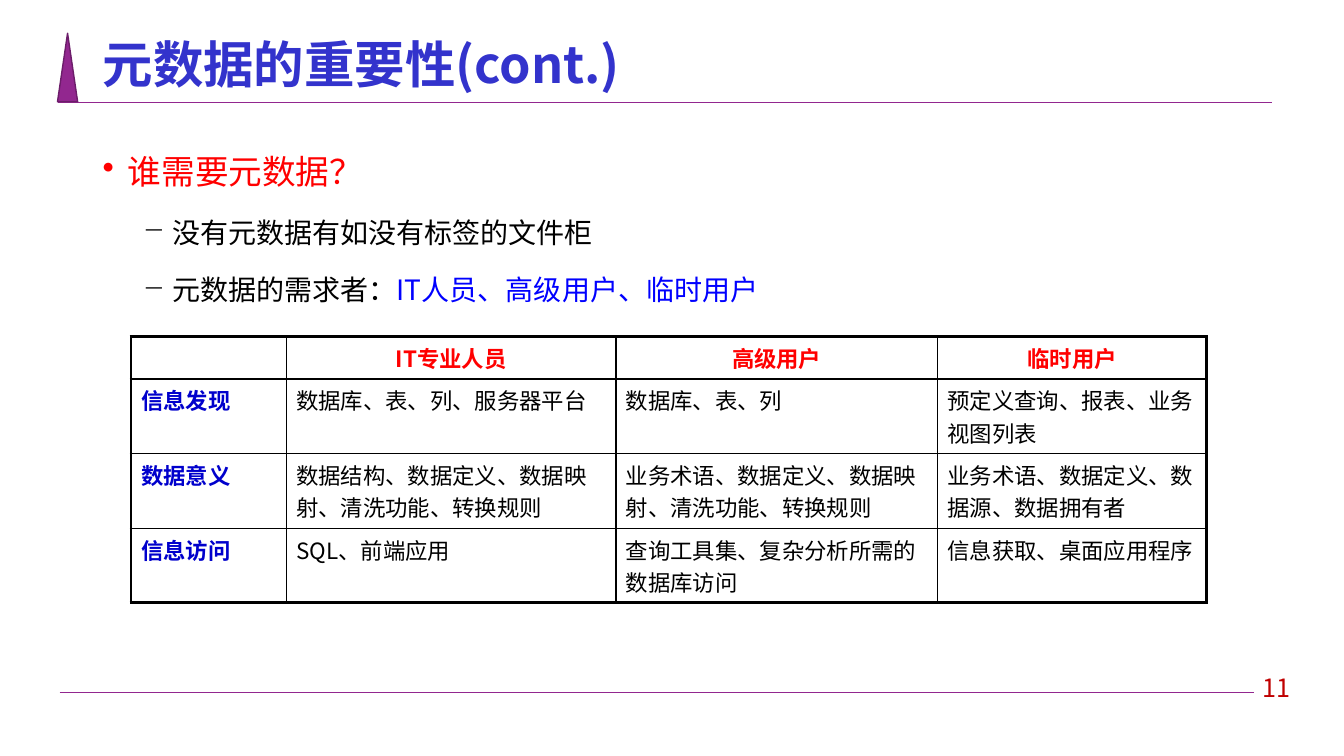
from lxml import etree
from pptx import Presentation
from pptx import util as u
from pptx.dml.color import RGBColor
from pptx.enum import shapes, text
from pptx.oxml import ns

FONT = "Noto Sans CJK SC"
PURPLE, BLACK, RED = "92278F", "000000", "FF0000"


def tint(fill, color):
    fill.solid()
    fill.fore_color.rgb = RGBColor.from_string(color)


def write(para, words, size, color, bold=False):
    if words:
        para.add_run().text = words
    font = para.font
    font.name, font.size, font.bold = FONT, u.Pt(size), bold
    tint(font.fill, color)
    etree.SubElement(font._element, ns.qn("a:ea"), typeface=FONT)


deck = Presentation()
deck.slide_width, deck.slide_height = u.Inches(13.33), u.Inches(7.5)
col, row = deck.slide_width / 100, deck.slide_height / 100
page = deck.slides.add_slide(deck.slide_layouts[6])

for left, right, level in [(4.35, 94.67, 13.6), (4.43, 93.32, 91.6)]:
    rule = page.shapes.add_connector(
        shapes.MSO_CONNECTOR.STRAIGHT,
        int(left * col), int(level * row), int(right * col), int(level * row))
    rule.line.width = u.Pt(0.5)
    tint(rule.line.fill, PURPLE)
    etree.SubElement(rule._element.spPr, ns.qn("a:effectLst"))

spike = page.shapes.add_shape(
    shapes.MSO_SHAPE.ISOSCELES_TRIANGLE,
    int(4.28 * col), int(4.4 * row), int(1.5 * col), int(9.07 * row))
spike.shadow.inherit = False
tint(spike.fill, PURPLE)
tint(spike.line.fill, "6C1D6A")
spike.line.width = u.Pt(1)

frames = []
for left, top, width, height, anchor in [
    (6.9, 3.6, 86.27, 10.53, text.MSO_ANCHOR.MIDDLE),
    (93.02, 88.4, 3.98, 5.07, text.MSO_ANCHOR.MIDDLE),
    (6.9, 16.67, 86.27, 73.33, text.MSO_ANCHOR.TOP),
]:
    box = page.shapes.add_textbox(
        int(left * col), int(top * row), int(width * col), int(height * row))
    box.text_frame.word_wrap = True
    box.text_frame.vertical_anchor = anchor
    frames.append(box.text_frame)
title, number, body = frames

heading = title.paragraphs[0]
heading.line_spacing = 0.9
write(heading, "元数据的重要性(cont.)", 36, "3333CC", True)
number.paragraphs[0].alignment = text.PP_ALIGN.CENTER
write(number.paragraphs[0], "11", 18, "C00000")

points = [
    (0, "谁需要元数据？", 24, RED),
    (1, "没有元数据有如没有标签的文件柜", 20, BLACK),
    (1, "元数据的需求者：", 20, BLACK),
]
for index, (level, words, size, color) in enumerate(points):
    para = body.add_paragraph() if index else body.paragraphs[0]
    para.level = level
    para.line_spacing = 1.5
    para.space_before = u.Pt((10, 5)[level])
    props = para._element.get_or_add_pPr()
    props.set("marL", str(u.Inches((0.25, 0.69)[level])))
    props.set("indent", str(u.Inches((-0.25, -0.29)[level])))
    etree.SubElement(props, ns.qn("a:buChar"), char="•−"[level])
    write(para, words, size, color)
span = para.add_run()
span.text = "IT人员、高级用户、临时用户"
tint(span.font.fill, "0000FF")

needs = [
    ["", "IT专业人员", "高级用户", "临时用户"],
    ["信息发现", "数据库、表、列、服务器平台", "数据库、表、列",
     "预定义查询、报表、业务视图列表"],
    ["数据意义", "数据结构、数据定义、数据映射、清洗功能、转换规则",
     "业务术语、数据定义、数据映射、清洗功能、转换规则",
     "业务术语、数据定义、数据源、数据拥有者"],
    ["信息访问", "SQL、前端应用", "查询工具集、复杂分析所需的数据库访问",
     "信息获取、桌面应用程序"],
]
widths, heights = [11.55, 24.53, 23.93, 20.03], [5.6, 9.87, 9.87, 9.87]
table = page.shapes.add_table(
    len(heights), len(widths), int(9.75 * col), int(44.53 * row),
    int(sum(widths) * col), int(sum(heights) * row)).table
table.first_row = table.horz_banding = False
for column, width in zip(table.columns, widths):
    column.width = int(width * col)
for line, height in zip(table.rows, heights):
    line.height = int(height * row)

for r, entries in enumerate(needs):
    for c, words in enumerate(entries):
        cell = table.cell(r, c)
        cell.fill.background()
        para = cell.text_frame.paragraphs[0]
        if r == 0:
            para.alignment = text.PP_ALIGN.CENTER
        color = RED if r == 0 else "0000CC" if c == 0 else BLACK
        write(para, words, 16, color, r == 0 or c == 0)
        outer = {"lnL": c == 0, "lnR": c == 3, "lnT": r == 0, "lnB": r == 3}
        props = cell._tc.get_or_add_tcPr()
        for place, (side, thick) in enumerate(outer.items()):
            edge = etree.Element(ns.qn("a:" + side), w=str(u.Pt(2.25 if thick else 1)))
            paint = etree.SubElement(edge, ns.qn("a:solidFill"))
            etree.SubElement(paint, ns.qn("a:srgbClr"), val=BLACK)
            props.insert(place, edge)

deck.save("out.pptx")
